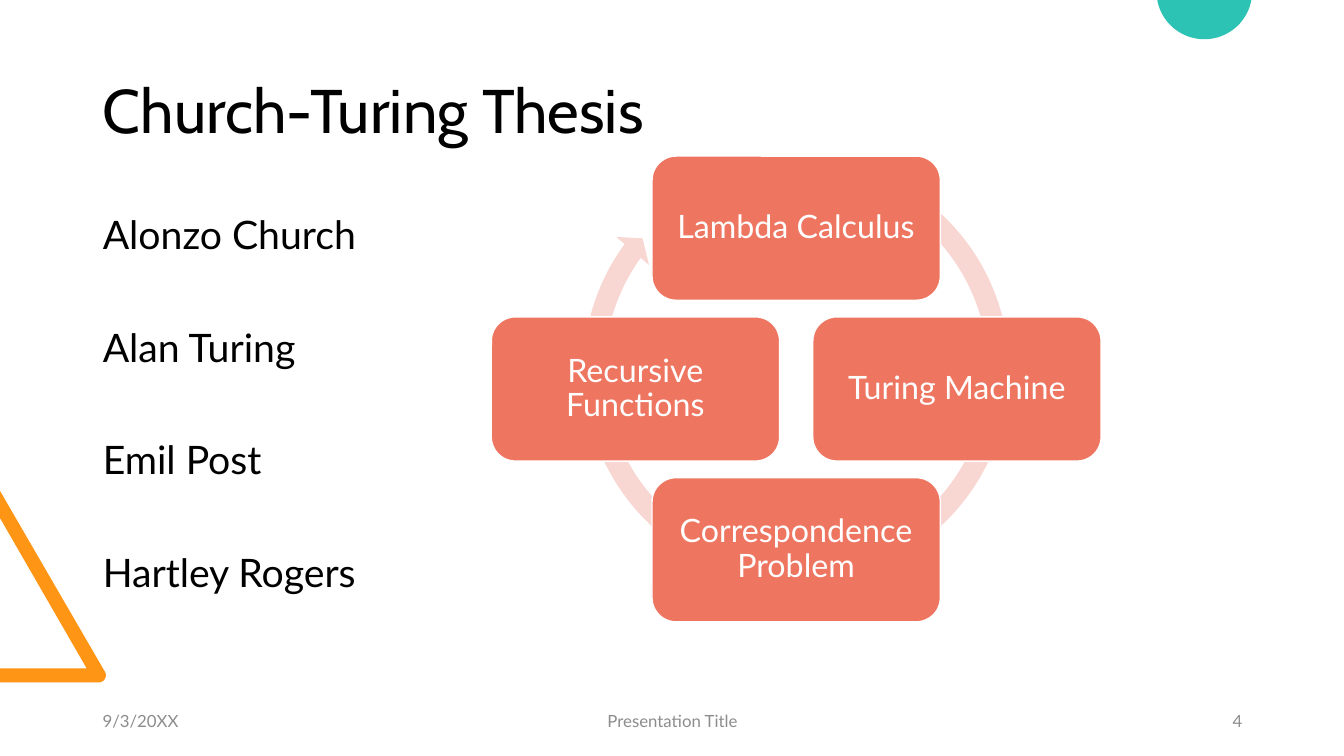
"""Builds the Church-Turing Thesis slide; lengths are percent shares of the slide."""
from dataclasses import dataclass
from math import cos, radians, sin

from lxml import etree
from pptx import Presentation, util as u
from pptx.dml.color import RGBColor
from pptx.enum import shapes, text
from pptx.oxml import ns

WIDE, HIGH = u.Inches(13.33), u.Inches(7.5)
Point = tuple[float, float]


@dataclass(frozen=True)
class Theme:
    """Colours, fonts and type sizes."""
    ink: str = "000000"
    pale: str = "FFFFFF"
    grey: str = "8C8C8C"
    coral: str = "EE7661"
    blush: str = "F8D6D2"
    teal: str = "2CC3B4"
    amber: str = "FF9514"
    head: str = "Cabin"
    body: str = "Lato"
    title: float = 44
    list: float = 28
    node: float = 23
    foot: float = 12


@dataclass(frozen=True)
class Box:
    """A frame in percent of slide width and height."""
    left: float
    top: float
    wide: float
    high: float

    def emu(self) -> tuple[int, int, int, int]:
        """Give the frame in slide units."""
        return (*spot((self.left, self.top)), *spot((self.wide, self.high)))


@dataclass(frozen=True)
class Node:
    """A step of the cycle, with its direction from the centre."""
    label: str
    across: int
    down: int


@dataclass(frozen=True)
class Foot:
    """A footer entry."""
    label: str
    left: float
    wide: float
    align: text.PP_ALIGN


THEME = Theme()
ALIGN = text.PP_ALIGN
TITLE = Box(6.9, 5.33, 86.27, 19.33)
BODY = Box(6.9, 27.87, 86.27, 56.27)
RING = Box(42.6, 19.33, 33.3, 59.2)
HUB, STEP, CARD = (59.24, 51.45), (11.96, 21.27), (21.45, 19.07)
PEOPLE = ["Alonzo Church", "Alan Turing", "Emil Post", "Hartley Rogers"]
NODES = [
    Node("Lambda Calculus", 0, -1),
    Node("Turing Machine", 1, 0),
    Node("Correspondence Problem", 0, 1),
    Node("Recursive Functions", -1, 0),
]
FEET = [
    Foot("9/3/20XX", 6.9, 22.5, ALIGN.LEFT),
    Foot("Presentation Title", 33.16, 33.76, ALIGN.CENTER),
    Foot("4", 70.67, 22.5, ALIGN.RIGHT),
]


def spot(point: Point) -> tuple[int, int]:
    """Turn percent shares into slide units."""
    return round(point[0] * WIDE / 100), round(point[1] * HIGH / 100)


def arc(mid: Point, size: float, start: int, end: int) -> list[Point]:
    """List points on a circle arc, its radius a share of the width."""
    tall = size * WIDE / HIGH
    turns = [radians(start + (end - start) * i / 40) for i in range(41)]
    return [(mid[0] + size * cos(t), mid[1] + tall * sin(t)) for t in turns]


def paint(shape, fill: str, edge: str | None = None) -> None:
    """Set fill and outline and drop the shadow."""
    shape.shadow.inherit = False
    shape.fill.solid()
    shape.fill.fore_color.rgb = RGBColor.from_string(fill)
    if edge is None:
        shape.line.fill.background()
    else:
        shape.line.color.rgb = RGBColor.from_string(edge)
        shape.line.width = u.Pt(1)


def style(para, font: str, size: float, tint: str, align: text.PP_ALIGN) -> None:
    """Set type and alignment of a paragraph."""
    para.alignment = align
    para.font.name = font
    para.font.size = u.Pt(size)
    para.font.color.rgb = RGBColor.from_string(tint)


def place(holder, box: Box, anchor: text.MSO_ANCHOR):
    """Move a placeholder and return its text frame."""
    holder.left, holder.top, holder.width, holder.height = box.emu()
    frame = holder.text_frame
    frame.auto_size = text.MSO_AUTO_SIZE.NONE
    frame.vertical_anchor = anchor
    return frame


def outline(slide, points: list[Point], fill: str) -> None:
    """Draw a closed, filled outline."""
    first, *rest = map(spot, points)
    build = slide.shapes.build_freeform(*first)
    build.add_line_segments(rest, close=True)
    paint(build.convert_to_shape(), fill)


def decor(slide) -> None:
    """Draw the corner triangle and the dot at the top edge."""
    tip = arc((7.35, 89.33), 0.53, -30, 90)
    outline(slide, [(0, 90.27), (0, 88.4), (6.45, 88.4), (0, 68.53),
                    (0, 64.93), *tip], THEME.amber)
    outline(slide, arc((89.61, -1.13), 3.56, 10, 170), THEME.teal)


def words(slide) -> None:
    """Fill the title and the list of people."""
    head, body = slide.placeholders
    frame = place(head, TITLE, text.MSO_ANCHOR.MIDDLE)
    frame.text = "Church-Turing Thesis"
    para = frame.paragraphs[0]
    para.line_spacing = 0.9
    style(para, THEME.head, THEME.title, THEME.ink, ALIGN.LEFT)
    frame = place(body, BODY, text.MSO_ANCHOR.TOP)
    frame.text = "\n".join(PEOPLE)
    for rank, para in enumerate(frame.paragraphs):
        para.line_spacing = 0.9
        para.space_before = u.Pt(50.2 if rank else 10)
        props = para._p.get_or_add_pPr()
        props.set("marL", "0")
        props.set("indent", "0")
        etree.SubElement(props, ns.qn("a:buNone"))
        style(para, THEME.body, THEME.list, THEME.ink, ALIGN.LEFT)


def cycle(slide) -> None:
    """Draw the ring arrow and its four cards."""
    kinds = shapes.MSO_SHAPE
    ring = slide.shapes.add_shape(kinds.CIRCULAR_ARROW, *RING.emu())
    for rank, value in enumerate((4.7 / 100, 2.73, 129.6, 179.44, 4.8 / 100)):
        ring.adjustments[rank] = value
    paint(ring, THEME.blush)
    for node in NODES:
        box = Box(HUB[0] + node.across * STEP[0] - CARD[0] / 2,
                  HUB[1] + node.down * STEP[1] - CARD[1] / 2, *CARD)
        card = slide.shapes.add_shape(kinds.ROUNDED_RECTANGLE, *box.emu())
        paint(card, THEME.coral, THEME.pale)
        frame = card.text_frame
        frame.word_wrap = True
        frame.vertical_anchor = text.MSO_ANCHOR.MIDDLE
        frame.text = node.label
        para = frame.paragraphs[0]
        para.line_spacing = 0.9
        style(para, THEME.body, THEME.node, THEME.pale, ALIGN.CENTER)


def footer(slide) -> None:
    """Write the footer row."""
    for foot in FEET:
        box = Box(foot.left, 92.67, foot.wide, 5.33)
        frame = slide.shapes.add_textbox(*box.emu()).text_frame
        frame.word_wrap = True
        frame.vertical_anchor = text.MSO_ANCHOR.MIDDLE
        frame.text = foot.label
        style(frame.paragraphs[0], THEME.body, THEME.foot, THEME.grey, foot.align)


def main() -> None:
    """Build and save the slide."""
    deck = Presentation()
    deck.slide_width, deck.slide_height = WIDE, HIGH
    slide = deck.slides.add_slide(deck.slide_layouts[1])
    for part in (decor, words, footer, cycle):
        part(slide)
    deck.save("out.pptx")


if __name__ == "__main__":
    main()
